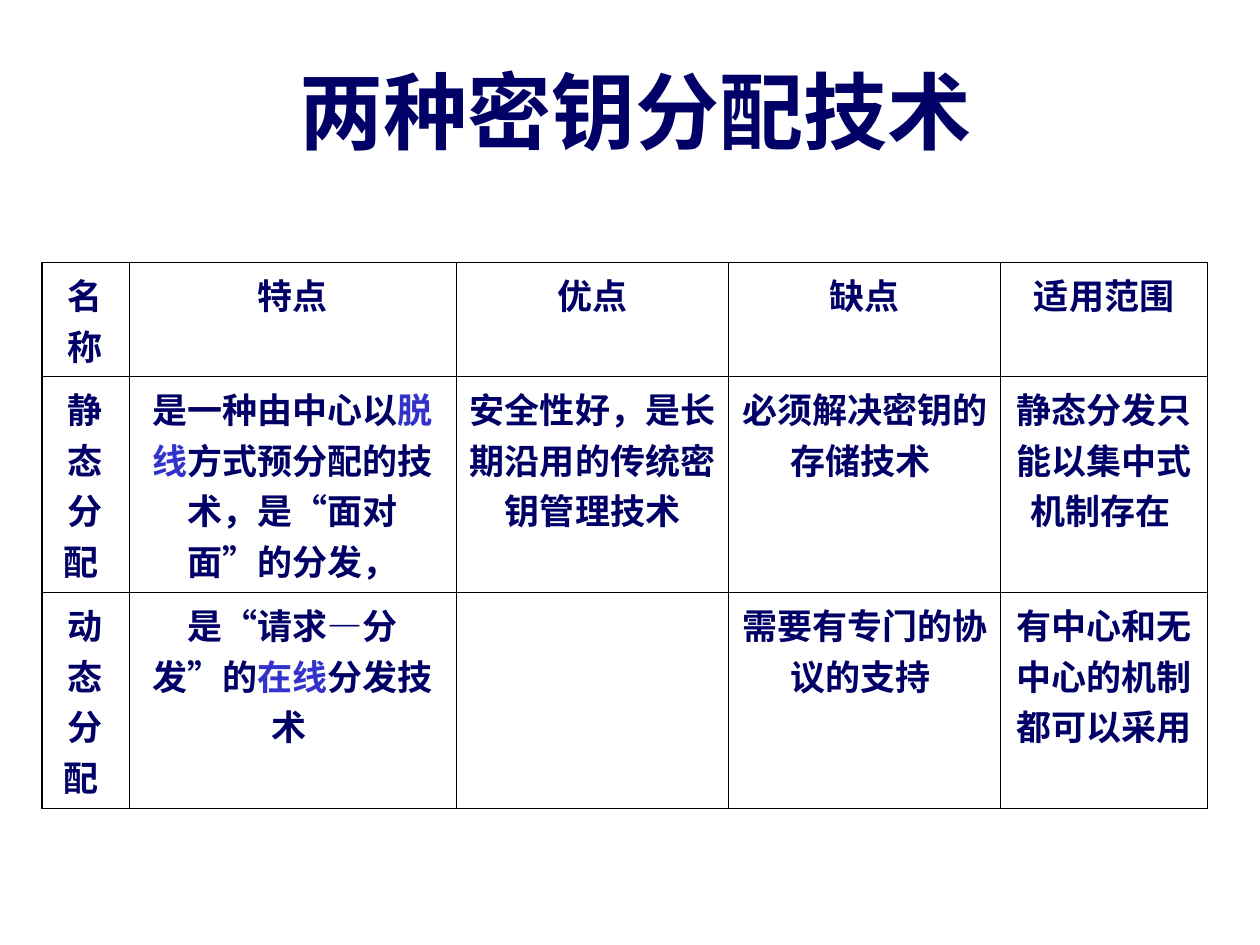
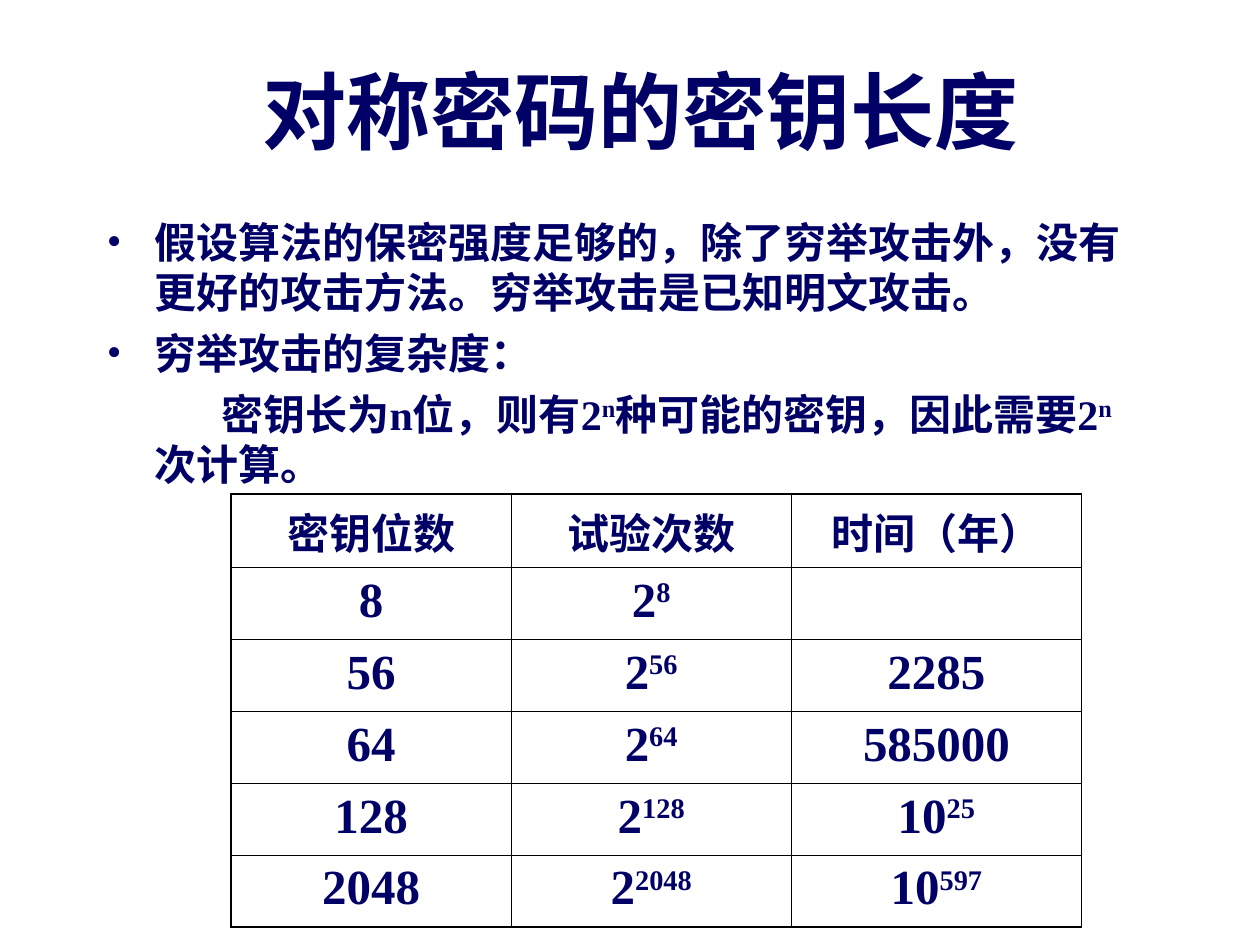
import lxml.etree
import pptx
import pptx.dml.color
import pptx.enum.text
import pptx.oxml.ns
import pptx.util

NAVY = pptx.dml.color.RGBColor(0x00, 0x00, 0x66)
ACCENT = pptx.dml.color.RGBColor(0x33, 0x33, 0xCC)
BORDER = pptx.dml.color.RGBColor(0x00, 0x00, 0x00)
SERIF, SANS = "Times New Roman", "Noto Sans CJK SC"
THIN, THICK = pptx.util.Pt(0.45), pptx.util.Pt(1.08)
CENTER = pptx.enum.text.PP_ALIGN.CENTER
MIDDLE = pptx.enum.text.MSO_ANCHOR.MIDDLE

# The slide is a grid of 120 columns by 90 rows.
UNIT = pptx.util.Inches(10) // 120
WIDTH, HEIGHT = 120 * UNIT, 90 * UNIT

BASE = {"name": SERIF, "bold": True}
TITLE = {**BASE, "size": pptx.util.Pt(48)}
BODY = {**BASE, "size": pptx.util.Pt(24)}
NUMBER = {**BASE, "size": pptx.util.Pt(28)}
METHOD_HEAD = {**BASE, "size": pptx.util.Pt(20)}
METHOD_BODY = {**METHOD_HEAD, "name": SANS}

METHODS = [
    ["名称", "特点", "优点", "缺点", "适用范围"],
    ["静态分配 ",
     ["是一种由中心以", ("脱线", "accent"), "方式预分配的技术，是", ("“", "serif"),
      "面对面", ("”", "serif"), "的分发，"],
     "安全性好，是长期沿用的传统密钥管理技术",
     "必须解决密钥的存储技术 ",
     "静态分发只能以集中式机制存在 "],
    ["动态分配 ",
     ["是", ("“", "serif"), "请求", ("—", "serif"), "分发", ("”", "serif"),
      "的", ("在线", "accent"), "分发技术 "],
     "",
     "需要有专门的协议的支持 ",
     "有中心和无中心的机制都可以采用 "],
]


def power(base, exponent):
    return [base, (exponent, "super")]


KEY_TIMES = {"8": "", "56": "2285", "64": "585000",
             "128": power("10", "25"), "2048": power("10", "597")}
KEY_LENGTHS = [["密钥位数", "试验次数", "时间（年）"]] + [
    [bits, power("2", bits), years] for bits, years in KEY_TIMES.items()]

POINTS = [
    "假设算法的保密强度足够的，除了穷举攻击外，没有更好的攻击方法。穷举攻击是已知明文攻击。",
    "穷举攻击的复杂度：",
]
EXPLANATION = ["密钥长为n位，则有", *power("2", "n"), "种可能的密钥，因此需要",
               *power("2", "n"), "次计算。"]


def add_child(parent, tag, **attributes):
    return lxml.etree.SubElement(parent, pptx.oxml.ns.qn(tag), attributes)


def to_lengths(box):
    return [int(UNIT * side) for side in box]


def write(para, content, formats):
    """Fill a paragraph from a string or a list of strings and (text, style) pairs."""
    for part in [content] if isinstance(content, str) else content:
        text, style = (part, "plain") if isinstance(part, str) else part
        if not text:
            continue
        span = para.add_run()
        span.text = text
        values = {**formats, "name": SERIF} if style == "serif" else formats
        for name, value in values.items():
            setattr(span.font, name, value)
        span.font.color.rgb = ACCENT if style == "accent" else NAVY
        properties = span.font._element
        add_child(properties, "a:ea", typeface=SANS)
        if style == "super":
            properties.set("baseline", "30000")


def add_text_frame(page, box):
    frame = page.shapes.add_textbox(*to_lengths(box)).text_frame
    frame.word_wrap = True
    return frame


def add_title(page, box, text):
    frame = add_text_frame(page, box)
    frame.vertical_anchor = MIDDLE
    frame.paragraphs[0].alignment = CENTER
    write(frame.paragraphs[0], text, TITLE)


def add_body(page, box):
    frame = add_text_frame(page, box)
    for index, content in enumerate([*POINTS, EXPLANATION]):
        para = frame.add_paragraph() if index else frame.paragraphs[0]
        if index:
            para.space_before = pptx.util.Pt(6)
        bulleted = index < len(POINTS)
        properties = para._p.get_or_add_pPr()
        properties.set("marL", str(pptx.util.Inches(0.38)))
        properties.set("indent", str(pptx.util.Inches(-0.38 if bulleted else 0.53)))
        if bulleted:
            color = add_child(properties, "a:buClr")
            add_child(color, "a:srgbClr", val=str(NAVY))
            add_child(properties, "a:buFont", typeface=SERIF)
            add_child(properties, "a:buChar", char="•")
        else:
            add_child(properties, "a:buNone")
        write(para, content, BODY)


def set_borders(cell, outer_sides):
    """Draw thick lines on the outer sides of the table and thin ones inside."""
    properties = cell._tc.get_or_add_tcPr()
    for index, side in enumerate("LRTB"):
        width = THICK if side in outer_sides else THIN
        line = add_child(properties, "a:ln" + side, w=str(width))
        add_child(add_child(line, "a:solidFill"), "a:srgbClr", val=str(BORDER))
        properties.insert(index, line)


def add_grid_table(page, box, rows, widths, heights, head, body):
    """Add a ruled table whose widths and heights are shares of the box."""
    left, top, width, height = to_lengths(box)
    table = page.shapes.add_table(len(rows), len(widths), left, top, width, height).table
    table.first_row = table.horz_banding = False
    for column, share in zip(table.columns, widths):
        column.width = int(width * share / sum(widths))
    for line, share in zip(table.rows, heights):
        line.height = int(height * share / sum(heights))
    last_row, last_column = len(rows) - 1, len(widths) - 1
    for r, contents in enumerate(rows):
        for c, content in enumerate(contents):
            cell = table.cell(r, c)
            cell.fill.background()
            edges = {"L": c == 0, "R": c == last_column, "T": r == 0, "B": r == last_row}
            set_borders(cell, [side for side, outer in edges.items() if outer])
            para = cell.text_frame.paragraphs[0]
            para.alignment = CENTER
            write(para, content, body if r else head)


def build_methods_page(page):
    add_title(page, (15, 3, 91, 15), "两种密钥分配技术")
    add_grid_table(page, (4, 25, 111, 52), METHODS, (0.69, 2.6, 2.16, 2.16, 1.64),
                   (0.9, 1.71, 1.71), METHOD_HEAD, METHOD_BODY)


def build_key_length_page(page):
    add_title(page, (10, 3, 102, 15), "对称密码的密钥长度")
    add_body(page, (9, 20, 102, 60))
    add_grid_table(page, (22, 47.05, 81, 41.25), KEY_LENGTHS, (2.22, 2.22, 2.3),
                   (0.58, *[0.57] * 5), BODY, NUMBER)


def main():
    deck = pptx.Presentation()
    deck.slide_width, deck.slide_height = WIDTH, HEIGHT
    for build in (build_methods_page, build_key_length_page):
        build(deck.slides.add_slide(deck.slide_layouts[6]))
    deck.save("out.pptx")


if __name__ == "__main__":
    main()
